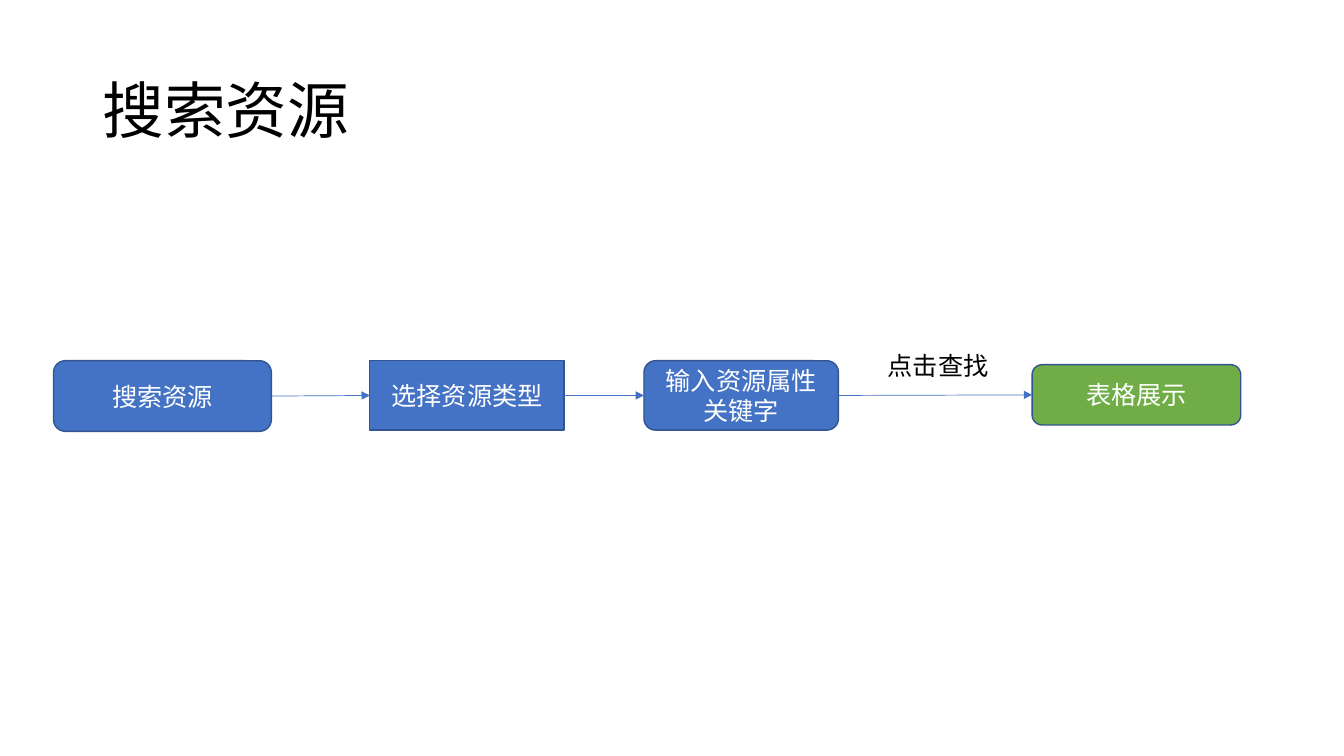
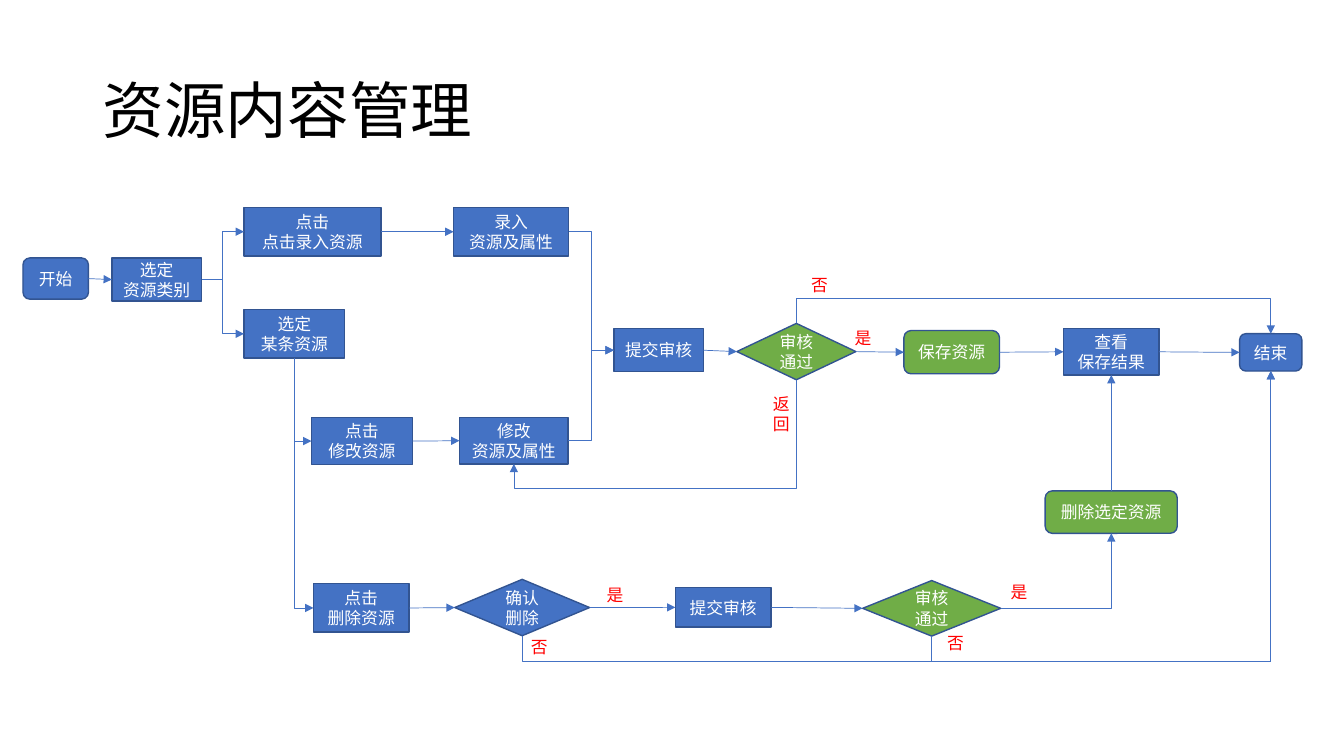
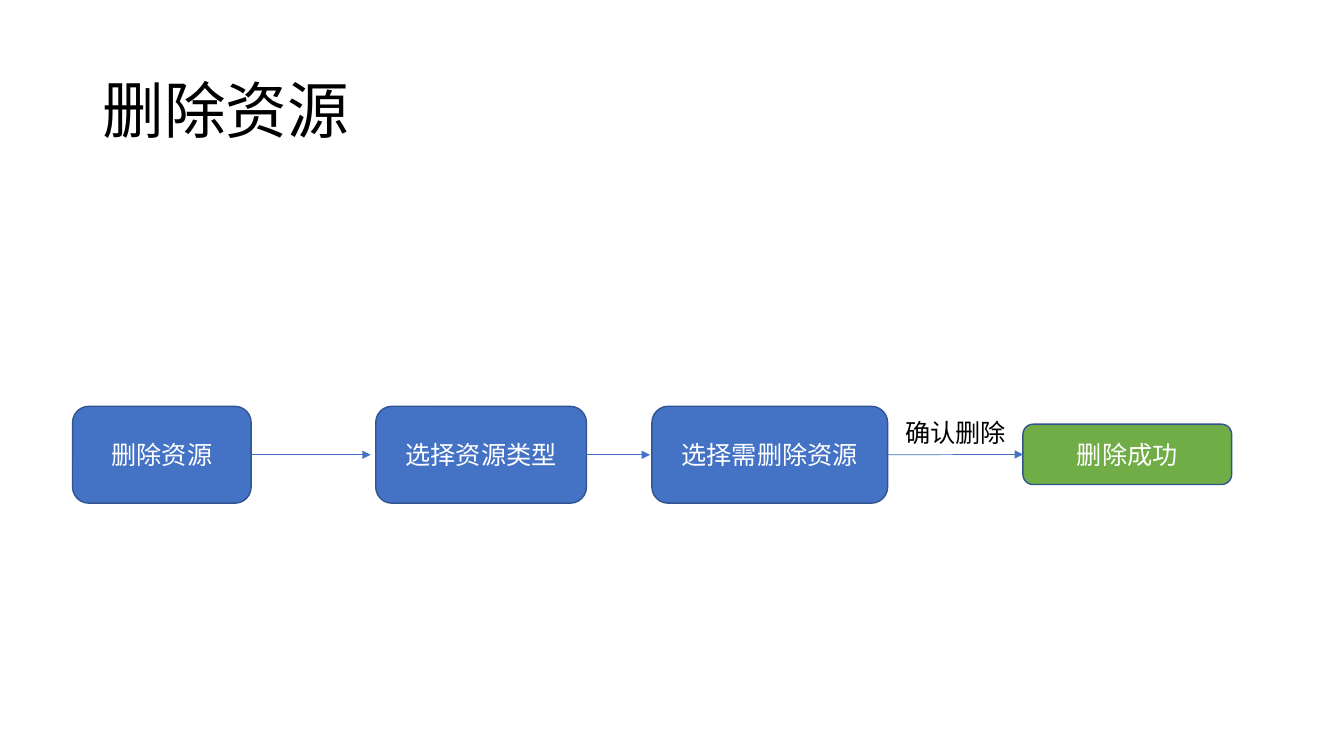
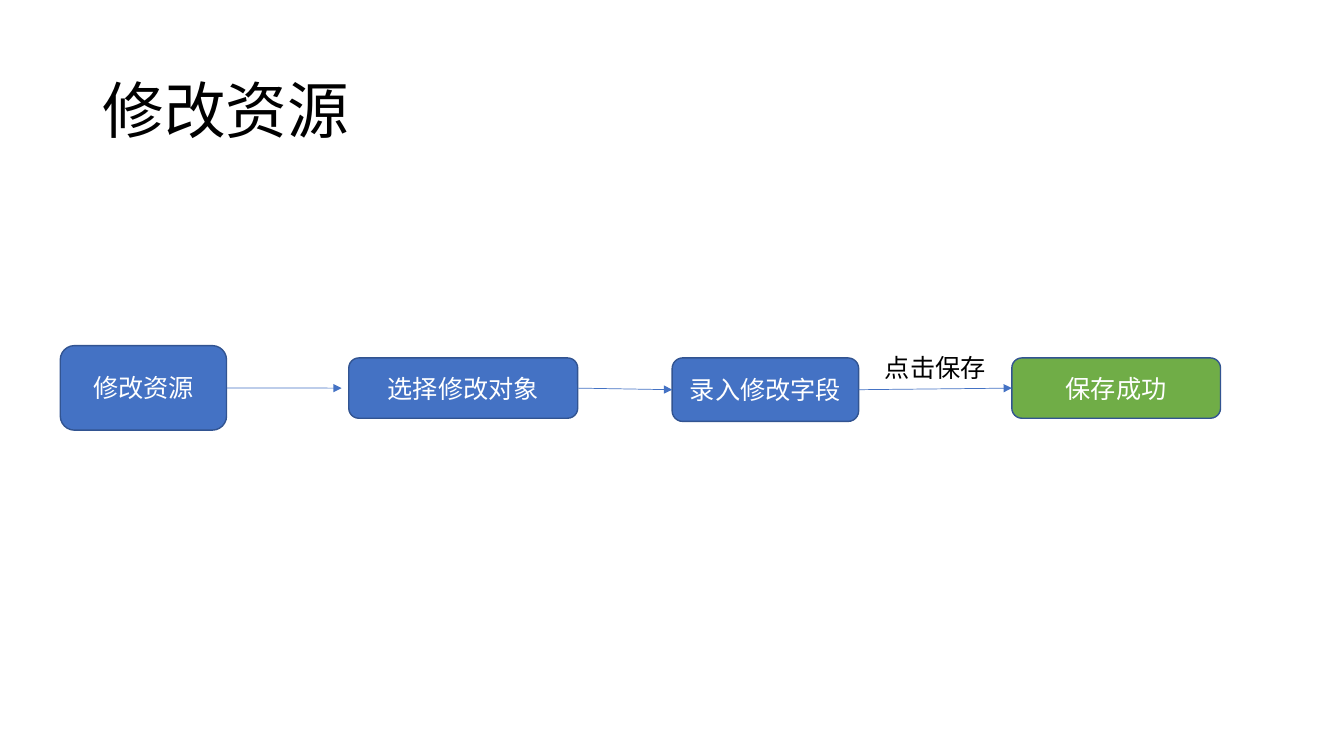
from dataclasses import dataclass

from lxml.etree import SubElement as Sub
from pptx import Presentation
from pptx.dml.color import RGBColor as Rgb
from pptx.enum.shapes import MSO_CONNECTOR as Wire, MSO_SHAPE as Kind
from pptx.enum.text import MSO_ANCHOR as Anchor, MSO_AUTO_SIZE as Fit, PP_ALIGN as Align
from pptx.oxml.ns import qn
from pptx.util import Cm, Pt

TOP, LEFT, BOTTOM, RIGHT = range(4)
RECT, ROUND, DIAMOND = Kind.RECTANGLE, Kind.ROUNDED_RECTANGLE, Kind.DIAMOND


@dataclass(frozen=True)
class Theme:
    face: str = "Noto Sans CJK SC"
    blue: Rgb = Rgb(0x44, 0x72, 0xC4)
    green: Rgb = Rgb(0x70, 0xAD, 0x47)
    edge: Rgb = Rgb(0x32, 0x54, 0x91)
    white: Rgb = Rgb(0xFF, 0xFF, 0xFF)
    black: Rgb = Rgb(0, 0, 0)
    red: Rgb = Rgb(0xFF, 0, 0)
    title: Pt = Pt(44)
    body: Pt = Pt(18)
    small: Pt = Pt(12)
    rim: Pt = Pt(1)
    wire: Pt = Pt(0.5)


theme = Theme()


def write(frame, text, size, color, align=Align.LEFT):
    frame.text = text
    for para in frame.paragraphs:
        para.alignment = align
        font = para.font
        font.size, font.name = size, theme.face
        font.color.rgb = color
        Sub(font._rPr, qn("a:ea"), typeface=theme.face)


def add_page(deck, text):
    page = deck.slides.add_slide(deck.slide_layouts[6])
    frame = page.shapes.add_textbox(Cm(2.34), Cm(1.02), Cm(29.21), Cm(3.68)).text_frame
    frame.word_wrap = True
    frame.vertical_anchor = Anchor.MIDDLE
    write(frame, text, theme.title, theme.black)
    frame.paragraphs[0].line_spacing = 0.9
    return page


def add_box(page, kind, text, area, size, fill=theme.blue):
    box = page.shapes.add_shape(kind, *map(Cm, area))
    box.shadow.inherit = False
    box.fill.solid()
    box.fill.fore_color.rgb = fill
    box.line.color.rgb = theme.edge
    box.line.width = theme.rim
    frame = box.text_frame
    frame.word_wrap = True
    frame.vertical_anchor = Anchor.MIDDLE
    write(frame, text, size, theme.white, Align.CENTER)
    return box


def add_label(page, text, area, size, color, wrap=False):
    frame = page.shapes.add_textbox(*map(Cm, area)).text_frame
    frame.word_wrap = wrap
    frame.auto_size = Fit.SHAPE_TO_FIT_TEXT
    write(frame, text, size, color)


def get_site(box, side):
    x, y = box.left + box.width // 2, box.top + box.height // 2
    return {
        TOP: (x, box.top),
        LEFT: (box.left, y),
        BOTTOM: (x, box.top + box.height),
        RIGHT: (box.left + box.width, y),
    }[side]


def add_link(page, tail, head, out=RIGHT, into=LEFT, kind=Wire.STRAIGHT, gap=0):
    x1, y1 = get_site(tail, out)
    x2, y2 = get_site(head, into)
    link = page.shapes.add_connector(kind, x1, y1, x2 - Cm(gap), y2)
    link.begin_connect(tail, out)
    if not gap:
        link.end_connect(head, into)
    link.line.color.rgb = theme.blue
    link.line.width = theme.wire
    Sub(link.line._get_or_add_ln(), qn("a:tailEnd"), type="triangle")
    Sub(link._element.spPr, qn("a:effectLst"))
    return link


def add_bend(page, tail, head, out=RIGHT, into=LEFT, lane=None):
    link = add_link(page, tail, head, out, into, Wire.ELBOW)
    geom = link._element.spPr.find(qn("a:prstGeom"))
    upright = (TOP, BOTTOM)
    if (out in upright) != (into in upright):
        geom.set("prst", "bentConnector2")
    if out in upright:
        turn(link, get_site(tail, out), get_site(head, into))
    if lane is not None:
        y1, y2 = get_site(tail, out)[1], get_site(head, into)[1]
        ratio = round((Cm(lane) - y1) / (y2 - y1) * 100000)
        guides = geom.find(qn("a:avLst"))
        if guides is None:
            guides = Sub(geom, qn("a:avLst"))
        Sub(guides, qn("a:gd"), name="adj1", fmla=f"val {ratio}")


def turn(link, start, end):
    (x1, y1), (x2, y2) = start, end
    right, down = x2 > x1, y2 > y1
    wide, high = abs(y2 - y1), abs(x2 - x1)
    link.left, link.top = (x1 + x2 - wide) // 2, (y1 + y2 - high) // 2
    link.width, link.height = wide, high
    form = link._element.spPr.find(qn("a:xfrm"))
    form.set("rot", str((270 if right and down else 90) * 60000))
    form.set("flipH", str(int(right)))
    form.set("flipV", str(int(right and not down)))


def add_flow(deck, title, steps, gaps, note, spot):
    page = add_page(deck, title)
    last = len(steps) - 1
    boxes = [
        add_box(page, kind, text, area, theme.body, theme.green if i == last else theme.blue)
        for i, (kind, text, area) in enumerate(steps)
    ]
    for tail, head, gap in zip(boxes, boxes[1:], gaps):
        add_link(page, tail, head, gap=gap)
    add_label(page, note, (*spot, 3.07, 1.02), theme.body, theme.black)


def add_chain(page, *boxes):
    for tail, head in zip(boxes, boxes[1:]):
        add_link(page, tail, head)


def add_manage(deck):
    page = add_page(deck, "资源内容管理")

    def box(kind, text, *area, fill=theme.blue):
        return add_box(page, kind, text, area, theme.small, fill)

    start = box(ROUND, "开始", 0.58, 6.5, 1.65, 1.04)
    sort = box(RECT, "选定\n资源类别", 2.82, 6.5, 2.26, 1.09)
    create = box(RECT, "点击\n点击录入资源", 6.15, 5.23, 3.45, 1.22)
    enter = box(RECT, "录入\n资源及属性", 11.43, 5.23, 2.9, 1.22)
    item = box(RECT, "选定\n某条资源", 6.15, 7.8, 2.54, 1.22)
    edit = box(RECT, "点击\n修改资源", 7.85, 10.52, 2.54, 1.19)
    alter = box(RECT, "修改\n资源及属性", 11.58, 10.52, 2.74, 1.17)
    submit = box(RECT, "提交审核", 15.47, 8.28, 2.26, 1.09)
    review = box(DIAMOND, "审核通过", 18.57, 8.15, 3, 1.42, fill=theme.green)
    save = box(ROUND, "保存资源", 22.78, 8.33, 2.41, 1.09, fill=theme.green)
    view = box(RECT, "查看\n保存结果", 26.8, 8.28, 2.41, 1.17)
    finish = box(ROUND, "结束", 31.24, 8.41, 1.57, 0.94)
    remove = box(RECT, "点击\n删除资源", 7.9, 14.71, 2.41, 1.22)
    confirm = box(DIAMOND, "确认删除", 11.46, 14.6, 3.4, 1.42)
    request = box(RECT, "提交审核", 17.02, 14.81, 2.41, 0.99)
    audit = box(DIAMOND, "审核通过", 21.74, 14.63, 3.48, 1.4, fill=theme.green)
    erase = box(ROUND, "删除选定资源", 26.34, 12.37, 3.33, 1.07, fill=theme.green)

    add_chain(page, start, sort)
    add_chain(page, create, enter)
    add_chain(page, edit, alter)
    add_chain(page, submit, review, save, view, finish)
    add_chain(page, remove, confirm, request, audit)
    add_link(page, erase, view, TOP, BOTTOM)

    for tail, head in ((sort, create), (sort, item), (enter, submit), (alter, submit)):
        add_bend(page, tail, head)
    for head in (edit, remove):
        add_bend(page, item, head, BOTTOM)
    add_bend(page, audit, erase, into=BOTTOM)
    for tail in (confirm, audit):
        add_bend(page, tail, finish, BOTTOM, BOTTOM, 16.66)
    add_bend(page, review, alter, BOTTOM, BOTTOM, 12.32)
    add_bend(page, review, finish, TOP, TOP, 7.52)

    marks = (
        ("是", 21.29, 8.13), ("是", 15.04, 14.6), ("是", 25.22, 14.53),
        ("否", 23.62, 15.82), ("否", 13.13, 15.93), ("否", 20.19, 6.81),
    )
    for text, x, y in marks:
        add_label(page, text, (x, y, 0.94, 0.76), theme.small, theme.red)
    add_label(page, "返回", (19.23, 9.8, 0.69, 1.27), theme.small, theme.red, True)


def main():
    deck = Presentation()
    deck.slide_width, deck.slide_height = Cm(33.87), Cm(19.05)
    add_flow(deck, "搜索资源", (
        (ROUND, "搜索资源", (1.35, 9.09, 5.49, 1.78)),
        (RECT, "选择资源类型", (9.32, 9.09, 4.9, 1.75)),
        (ROUND, "输入资源属性关键字", (16.23, 9.09, 4.9, 1.75)),
        (ROUND, "表格展示", (26.01, 9.19, 5.26, 1.52)),
    ), (0, 0, 0), "点击查找", (22.12, 8.71))
    add_manage(deck)
    add_flow(deck, "删除资源", (
        (ROUND, "删除资源", (1.83, 10.24, 4.5, 2.44)),
        (ROUND, "选择资源类型", (9.47, 10.24, 5.31, 2.44)),
        (ROUND, "选择需删除资源", (16.43, 10.24, 5.94, 2.44)),
        (ROUND, "删除成功", (25.78, 10.69, 5.26, 1.52)),
    ), (0.13, 0.05, 0), "确认删除", (22.56, 10.39))
    add_flow(deck, "修改资源", (
        (ROUND, "修改资源", (1.52, 8.71, 4.19, 2.13)),
        (ROUND, "选择修改对象", (8.79, 9.02, 5.77, 1.52)),
        (ROUND, "录入修改字段", (16.94, 9.02, 4.7, 1.6)),
        (ROUND, "保存成功", (25.5, 9.02, 5.26, 1.52)),
    ), (0.18, 0, 0), "点击保存", (22.05, 8.76))
    deck.save("out.pptx")


if __name__ == "__main__":
    main()
